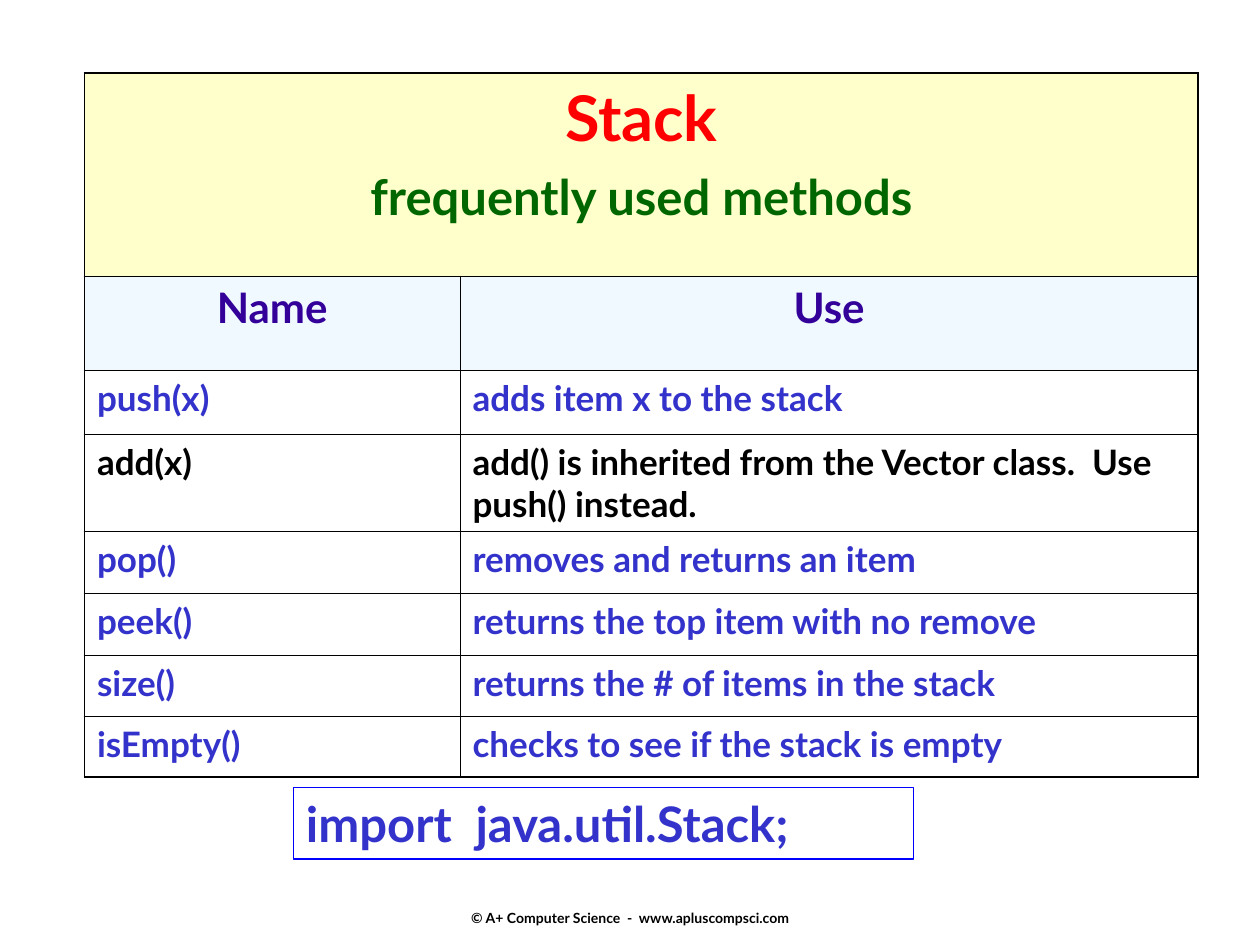
"""Build a slide that lists the frequently used methods of Stack."""
from dataclasses import dataclass

from lxml.etree import SubElement
from pptx import Presentation
from pptx.dml.color import RGBColor
from pptx.enum.shapes import MSO_SHAPE
from pptx.enum.text import MSO_ANCHOR as Anchor, MSO_AUTO_SIZE as AutoSize, PP_ALIGN as Align
from pptx.oxml.ns import qn
from pptx.util import Inches, Pt


@dataclass(frozen=True)
class Theme:
    font: str = "Lato"
    black: str = "000000"
    red: str = "FF0000"
    green: str = "006600"
    purple: str = "330099"
    blue: str = "3333CC"
    outline: str = "0000FF"
    cream: str = "FFFFCC"
    ice: str = "E1F4FF"
    title: int = 36
    subtitle: int = 28
    heading: int = 24
    body: int = 20
    footer: int = 8
    outer: float = 1.08
    inner: float = 0.45


theme = Theme()


def style(paragraph, size, color, align=Align.LEFT):
    paragraph.alignment = align
    for run in paragraph.runs:
        run.font.name = theme.font
        run.font.size = Pt(size)
        run.font.bold = True
        run.font.color.rgb = RGBColor.from_string(color)


def add_border(cell, side, width):
    line = SubElement(cell._tc.get_or_add_tcPr(), qn(f"a:ln{side}"), w=str(Pt(width)))
    fill = SubElement(line, qn("a:solidFill"))
    SubElement(fill, qn("a:srgbClr"), val=theme.black)


presentation = Presentation()
presentation.slide_width = Inches(10)
presentation.slide_height = Inches(7.5)
slide = presentation.slides.add_slide(presentation.slide_layouts[6])

footer = slide.shapes.add_textbox(Inches(3.42), Inches(6.83), Inches(3.17), Inches(0.52))
footer_frame = footer.text_frame
footer_frame.word_wrap = False
footer_frame.vertical_anchor = Anchor.BOTTOM
footer_frame.margin_bottom = 0
footer_frame.text = "© A+ Computer Science  -  www.apluscompsci.com"
style(footer_frame.paragraphs[0], theme.footer, theme.black, Align.CENTER)

rows = [
    ("Stack\nfrequently used methods", ""),
    ("Name", "Use"),
    ("push(x)", "adds item x to the stack"),
    ("add(x)", "add() is inherited from the Vector class.  Use push() instead."),
    ("pop()", "removes and returns an item"),
    ("peek()", "returns the top item with no remove"),
    ("size()", "returns the # of items in the stack"),
    ("isEmpty()", "checks to see if the stack is empty"),
]
column_widths = [2.98, 5.86]
row_heights = [1.61, 0.75, 0.51, 0.77, 0.49, 0.49, 0.49, 0.48]
last_row, last_column = len(rows) - 1, len(column_widths) - 1

table = slide.shapes.add_table(
    len(rows), len(column_widths), Inches(0.67), Inches(0.58),
    Inches(sum(column_widths)), Inches(sum(row_heights)),
).table
table.first_row = False
table.horz_banding = False
for column, width in zip(table.columns, column_widths):
    column.width = Inches(width)
for row, height in zip(table.rows, row_heights):
    row.height = Inches(height)
table.cell(0, 0).merge(table.cell(0, last_column))

for row_index, texts in enumerate(rows):
    for column_index, text in enumerate(texts):
        cell = table.cell(row_index, column_index)
        is_outer = {
            "L": column_index == 0,
            "R": column_index == last_column or row_index == 0,
            "T": row_index == 0,
            "B": row_index == last_row,
        }
        for side, outer in is_outer.items():
            add_border(cell, side, theme.outer if outer else theme.inner)
        if row_index < 2:
            cell.fill.solid()
            cell.fill.fore_color.rgb = RGBColor.from_string([theme.cream, theme.ice][row_index])
        else:
            cell.fill.background()
        if text:
            cell.text_frame.text = text
            color = theme.black if texts[0] == "add(x)" else theme.blue
            if row_index == 1:
                style(cell.text_frame.paragraphs[0], theme.heading, theme.purple, Align.CENTER)
            elif row_index > 1:
                style(cell.text_frame.paragraphs[0], theme.body, color)

for cell in table.rows[1].cells:
    tint = cell._tc.tcPr.find(f"{qn('a:solidFill')}/{qn('a:srgbClr')}")
    SubElement(tint, qn("a:alpha"), val="50000")

title, subtitle = table.cell(0, 0).text_frame.paragraphs
style(title, theme.title, theme.red, Align.CENTER)
style(subtitle, theme.subtitle, theme.green, Align.CENTER)
subtitle.space_before = Pt(7)

import_box = slide.shapes.add_shape(
    MSO_SHAPE.RECTANGLE, Inches(2.33), Inches(6.25), Inches(4.92), Inches(0.57)
)
import_box.shadow.inherit = False
import_box.fill.background()
import_box.line.color.rgb = RGBColor.from_string(theme.outline)
import_box.line.width = Pt(1)
import_frame = import_box.text_frame
import_frame.word_wrap = True
import_frame.auto_size = AutoSize.SHAPE_TO_FIT_TEXT
import_frame.vertical_anchor = Anchor.TOP
import_frame.text = "import  java.util.Stack;"
style(import_frame.paragraphs[0], theme.subtitle, theme.blue)

presentation.save("out.pptx")
